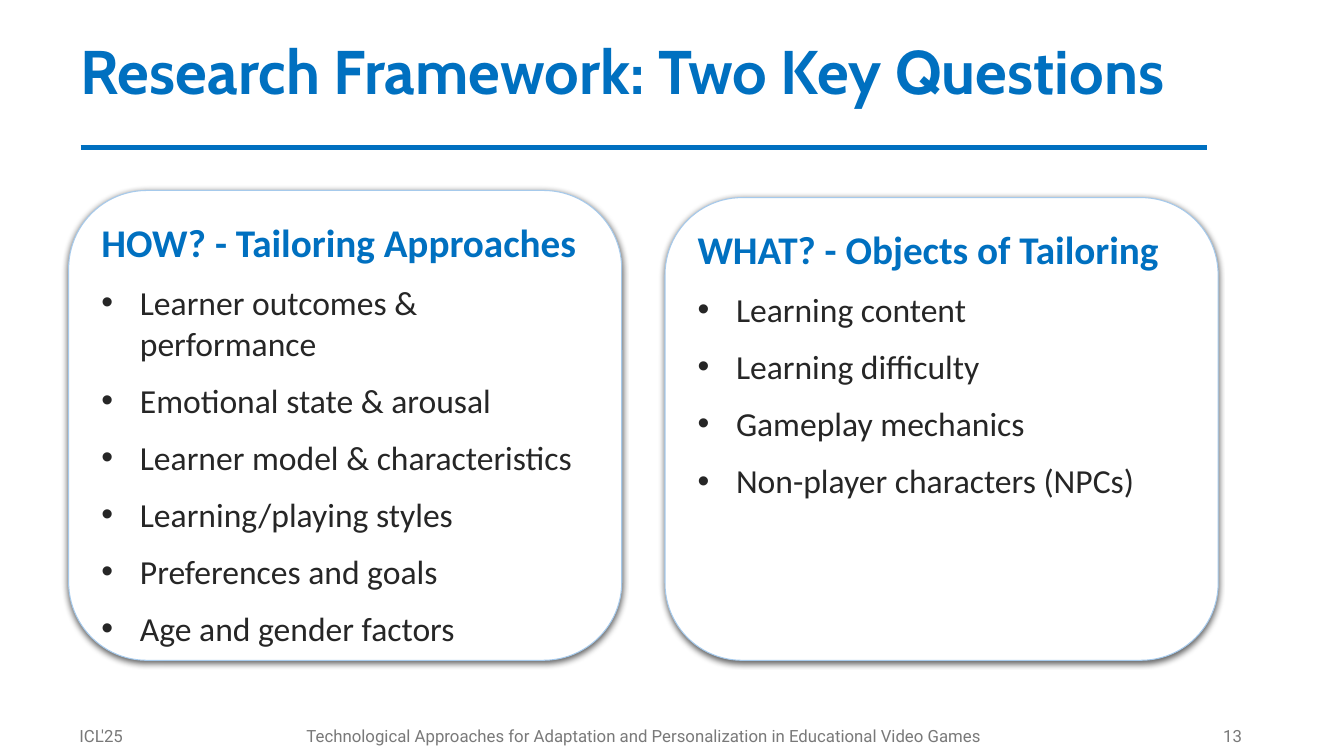
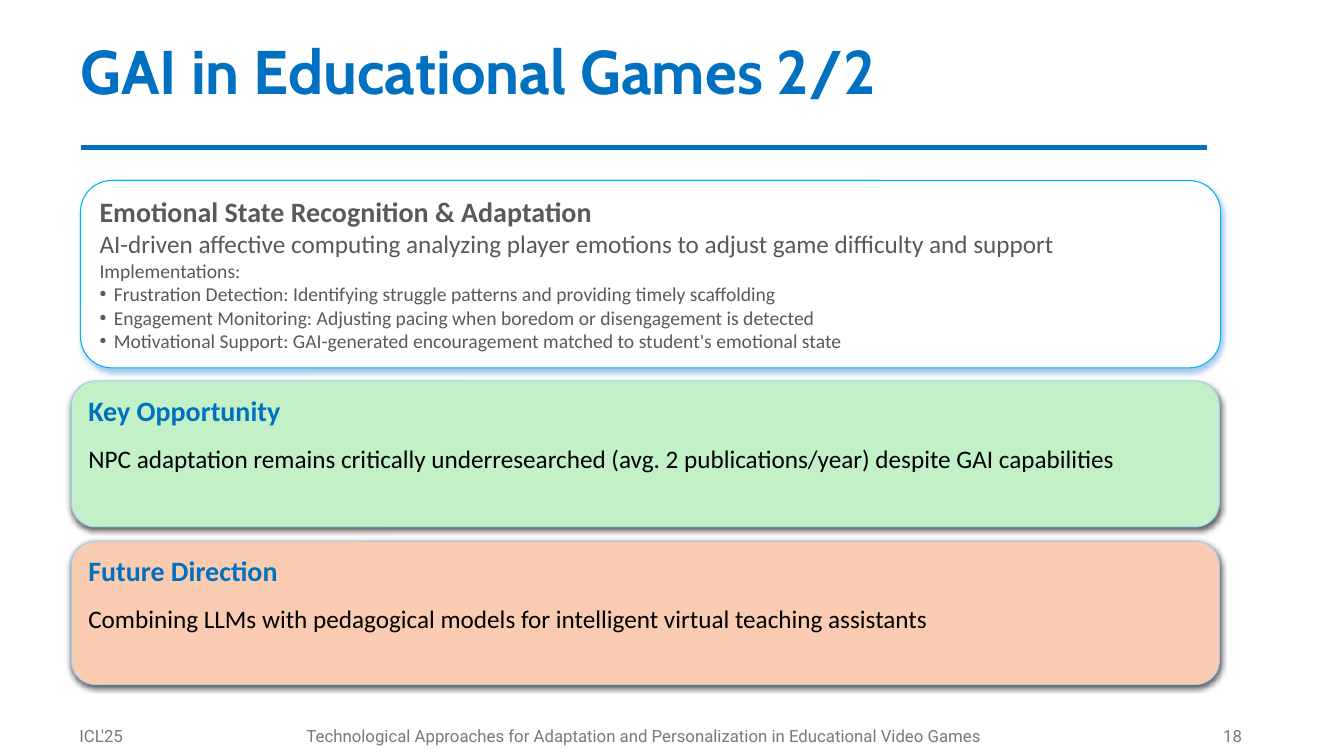
from dataclasses import dataclass

from lxml.etree import SubElement
from pptx import Presentation
from pptx.dml.color import RGBColor
from pptx.enum.shapes import MSO_CONNECTOR, MSO_SHAPE
from pptx.enum.text import MSO_ANCHOR, PP_ALIGN
from pptx.oxml.ns import qn
from pptx.presentation import Presentation as Deck
from pptx.shapes.autoshape import Shape
from pptx.slide import Slide
from pptx.text.text import TextFrame
from pptx.util import Cm, Pt

BLUE, PALE_BLUE, CYAN = "0070C0", "A6CAEC", "00B0F0"
WHITE, GREEN, ORANGE = "FFFFFF", "C2F1C8", "F9CBB1"
BLACK, INK, GRAY, FOOTER_GRAY = "000000", "262626", "595959", "797979"
TITLE_FONT, BODY_FONT, FOOTER_FONT = "Cabin", "Calibri", "Roboto"
FOOTER = "Technological Approaches for Adaptation and Personalization in Educational Video Games"


@dataclass(frozen=True)
class Box:
    """Place and size in centimetres."""
    left: float
    top: float
    width: float
    height: float


@dataclass(frozen=True)
class Line:
    """One paragraph with its style; hanging is the bullet indent in centimetres."""
    text: str
    size: float
    color: str
    font: str = BODY_FONT
    bold: bool = False
    align: PP_ALIGN = PP_ALIGN.LEFT
    after: float = 0
    margin: float = 0
    hanging: float = 0
    spacing: float = 1.0


@dataclass(frozen=True)
class Shadow:
    """Downward shadow with opacity in percent and blur in points."""
    color: str
    opacity: int
    blur: float


DARK_SHADOW = Shadow(BLACK, 63, 4.5)
BLUE_SHADOW = Shadow(PALE_BLUE, 100, 4)


@dataclass(frozen=True)
class Card:
    """Rounded panel with its paragraphs."""
    box: Box
    lines: list[Line]
    fill: str = WHITE
    outline: str = PALE_BLUE
    outline_width: float = 0.75
    shadow: Shadow = DARK_SHADOW


def rgb(color: str) -> RGBColor:
    """Turn a hex string into a colour."""
    return RGBColor.from_string(color)


def write(frame: TextFrame, lines: list[Line], anchor: MSO_ANCHOR) -> None:
    """Fill a text frame with styled paragraphs."""
    frame.word_wrap = True
    frame.vertical_anchor = anchor
    for index, line in enumerate(lines):
        paragraph = frame.add_paragraph() if index else frame.paragraphs[0]
        properties = paragraph._p.get_or_add_pPr()
        properties.set("marL", str(Cm(line.margin + line.hanging)))
        properties.set("indent", str(-Cm(line.hanging)))
        if line.hanging:
            SubElement(properties, qn("a:buFont")).set("typeface", "Arial")
            SubElement(properties, qn("a:buChar")).set("char", "•")
        paragraph.alignment = line.align
        paragraph.space_after = Pt(line.after)
        paragraph.line_spacing = line.spacing
        run = paragraph.add_run()
        run.text = line.text
        run.font.name = line.font
        run.font.size = Pt(line.size)
        run.font.bold = line.bold
        run.font.color.rgb = rgb(line.color)


def add_text(slide: Slide, box: Box, line: Line) -> None:
    """Add a vertically centred text box."""
    shape = slide.shapes.add_textbox(Cm(box.left), Cm(box.top), Cm(box.width), Cm(box.height))
    write(shape.text_frame, [line], MSO_ANCHOR.MIDDLE)


def add_shadow(shape: Shape, shadow: Shadow) -> None:
    """Give a shape its own outer shadow."""
    shape.shadow.inherit = False
    effects = shape.element.spPr.find(qn("a:effectLst"))
    outer = SubElement(effects, qn("a:outerShdw"), blurRad=str(Pt(shadow.blur)),
                       dist=str(Pt(1.5)), dir="5400000", algn="t", rotWithShape="0")
    color = SubElement(outer, qn("a:srgbClr"), val=shadow.color)
    SubElement(color, qn("a:alpha"), val=str(shadow.opacity * 1000))


def add_card(slide: Slide, card: Card) -> None:
    """Draw a rounded panel with text."""
    box = card.box
    shape = slide.shapes.add_shape(MSO_SHAPE.ROUNDED_RECTANGLE, Cm(box.left), Cm(box.top),
                                   Cm(box.width), Cm(box.height))
    shape.fill.solid()
    shape.fill.fore_color.rgb = rgb(card.fill)
    shape.line.color.rgb = rgb(card.outline)
    shape.line.width = Pt(card.outline_width)
    add_shadow(shape, card.shadow)
    write(shape.text_frame, card.lines, MSO_ANCHOR.TOP)


def add_frame(slide: Slide, title: str, number: int) -> None:
    """Add the title, its rule and the footer."""
    add_text(slide, Box(0, 0.03, 33.87, 3.68),
             Line(title, 44, BLUE, TITLE_FONT, True, margin=1.78, spacing=0.9))
    rule = slide.shapes.add_connector(MSO_CONNECTOR.STRAIGHT, Cm(2.03), Cm(3.71), Cm(30.43), Cm(3.71))
    rule.line.color.rgb = rgb(BLUE)
    rule.line.width = Pt(3.25)
    SubElement(rule.element.spPr, qn("a:effectLst"))
    for text, left, width, align in (
        ("ICL'25", 1.75, 5.72, PP_ALIGN.LEFT),
        (FOOTER, 7.44, 17.58, PP_ALIGN.CENTER),
        (str(number), 23.93, 7.62, PP_ALIGN.RIGHT),
    ):
        add_text(slide, Box(left, 18.02, width, 1.02),
                 Line(text, 12, FOOTER_GRAY, FOOTER_FONT, align=align))


def add_slide(presentation: Deck, title: str, number: int, cards: list[Card]) -> None:
    """Add one framed slide of cards."""
    slide = presentation.slides.add_slide(presentation.slide_layouts[6])
    add_frame(slide, title, number)
    for card in cards:
        add_card(slide, card)


def question(heading: str, items: list[str]) -> list[Line]:
    """Build a heading with a bulleted list."""
    return [Line(heading, 28, BLUE, bold=True, after=12)] + [
        Line(item, 24, INK, after=12, hanging=0.97) for item in items
    ]


def message(heading: str, text: str) -> list[Line]:
    """Build a heading with one statement."""
    return [Line(heading, 20, BLUE, bold=True, after=12), Line(text, 18, BLACK, after=12)]


QUESTIONS = [
    Card(Box(1.73, 4.8, 13.94, 11.84), question("HOW? - Tailoring Approaches", [
        "Learner outcomes & performance",
        "Emotional state & arousal",
        "Learner model & characteristics",
        "Learning/playing styles",
        "Preferences and goals",
        "Age and gender factors",
    ])),
    Card(Box(16.76, 4.98, 13.94, 11.66), question("WHAT? - Objects of Tailoring", [
        "Learning content",
        "Learning difficulty",
        "Gameplay mechanics",
        "Non-player characters (NPCs)",
    ])),
]

IMPLEMENTATIONS = [
    "Frustration Detection: Identifying struggle patterns and providing timely scaffolding",
    "Engagement Monitoring: Adjusting pacing when boredom or disengagement is detected",
    "Motivational Support: GAI-generated encouragement matched to student's emotional state",
]

GAMES = [
    Card(Box(2.03, 4.55, 28.73, 4.72), [
        Line("Emotional State Recognition & Adaptation", 20, GRAY, bold=True),
        Line("AI-driven affective computing analyzing player emotions to adjust game difficulty and support",
             18, GRAY),
        Line("Implementations:", 14, GRAY),
        *(Line(item, 14, GRAY, hanging=0.36) for item in IMPLEMENTATIONS),
    ], outline=CYAN, outline_width=0, shadow=BLUE_SHADOW),
    Card(Box(1.8, 9.6, 28.93, 3.68), message(
        "Key Opportunity",
        "NPC adaptation remains critically underresearched (avg. 2 publications/year) despite GAI capabilities",
    ), GREEN),
    Card(Box(1.8, 13.64, 28.93, 3.61), message(
        "Future Direction",
        "Combining LLMs with pedagogical models for intelligent virtual teaching assistants",
    ), ORANGE),
]


def main() -> None:
    """Build and save the presentation."""
    presentation = Presentation()
    presentation.slide_width = Cm(33.87)
    presentation.slide_height = Cm(19.05)
    add_slide(presentation, "Research Framework: Two Key Questions", 13, QUESTIONS)
    add_slide(presentation, "GAI in Educational Games 2/2", 18, GAMES)
    presentation.save("out.pptx")


if __name__ == "__main__":
    main()
